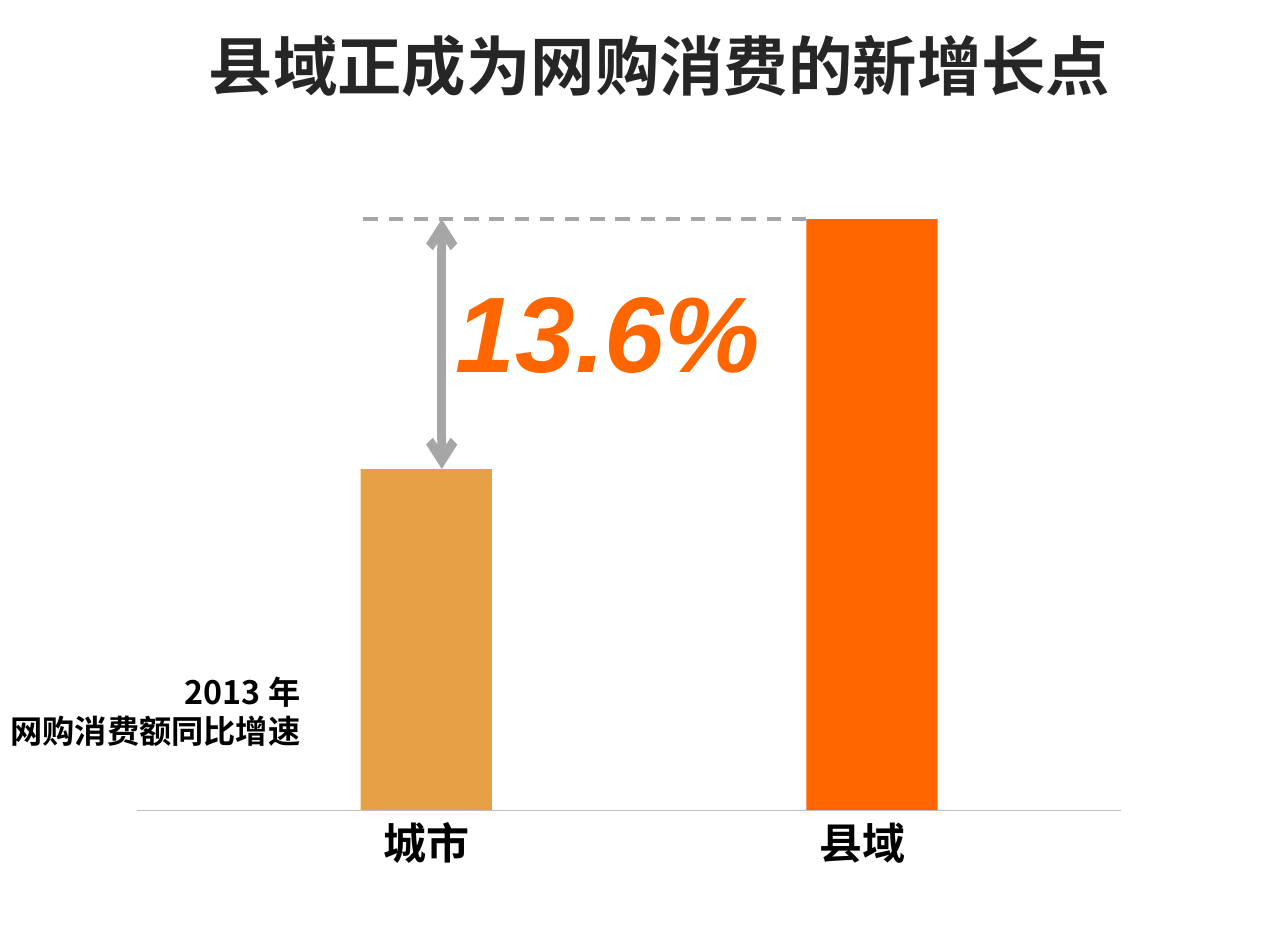
from collections import namedtuple
from dataclasses import dataclass

from pptx import Presentation, util as u
from pptx.dml.color import RGBColor
from pptx.enum import dml, shapes, text
from pptx.oxml.ns import qn
from lxml import etree

# Grid: 100 columns by 72.8 rows, each cell 0.1 inch
COLS, ROWS, CELL = 100, 72.8, 0.1
Box = namedtuple("Box", "x y w h")


@dataclass(frozen=True)
class Theme:
    ink: str = "262626"
    black: str = "000000"
    city: str = "E6A046"
    county: str = "FF6600"
    mark: str = "A6A6A6"
    axis: str = "BFBFBF"
    han: str = "Noto Sans CJK SC"
    latin: str = "Arial"
    title: int = 36
    big: int = 60
    label: int = 24
    note: int = 18


T = Theme()
ALIGN = text.PP_ALIGN


def cells(n):
    return u.Inches(round(n * CELL, 3))


def rgb(code):
    return RGBColor.from_string(code)


def write(slide, box, words, size, color, font=T.han, align=ALIGN.RIGHT,
          italic=None, wrap=False):
    frame = slide.shapes.add_textbox(*map(cells, box)).text_frame
    frame.word_wrap = wrap
    if wrap:
        frame.vertical_anchor = text.MSO_ANCHOR.MIDDLE
    else:
        frame.auto_size = text.MSO_AUTO_SIZE.SHAPE_TO_FIT_TEXT
    frame.text = words
    for para in frame.paragraphs:
        para.alignment = align
        for run in para.runs:
            face = run.font
            face.name, face.size = font, u.Pt(size)
            face.bold, face.italic = True, italic
            face.color.rgb = rgb(color)
            # East Asian typeface
            etree.SubElement(run._r.get_or_add_rPr(), qn("a:ea"), typeface=font)


def rule(slide, start, end, color, width, dash=None, heads=False):
    line = slide.shapes.add_connector(
        shapes.MSO_CONNECTOR.STRAIGHT, *map(cells, (*start, *end)))
    line.line.color.rgb = rgb(color)
    line.line.width = u.Pt(width)
    if dash:
        line.line.dash_style = dash
    if heads:
        for tag in ("a:headEnd", "a:tailEnd"):
            etree.SubElement(line.line._ln, qn(tag), type="arrow")
    etree.SubElement(line._element.spPr, qn("a:effectLst"))


def bar(slide, box, color):
    rect = slide.shapes.add_shape(
        shapes.MSO_SHAPE.RECTANGLE, *map(cells, box))
    rect.shadow.inherit = False
    rect.fill.solid()
    rect.fill.fore_color.rgb = rgb(color)
    rect.line.fill.background()


def header(slide, box):
    write(slide, box, "县域正成为网购消费的新增长点", T.title, T.ink,
          align=ALIGN.CENTER, wrap=True)


def growth(slide, box):
    base, wide = box.y + box.h, 10.2
    left, right = box.x + 17.4, box.x + 52
    low = base - 26.5

    # Bars
    bar(slide, Box(left, low, wide, base - low), T.city)
    bar(slide, Box(right, box.y, wide, box.h), T.county)

    # Gap between the two bars
    mid = left + 6.3
    rule(slide, (right, box.y), (left, box.y), T.mark, 2,
         dash=dml.MSO_LINE.DASH)
    rule(slide, (mid, box.y), (mid, low), T.mark, 5, heads=True)
    write(slide, Box(mid + 0.1, box.y + 3.1, 25.9, 11.1), "13.6%", T.big,
          T.county, font=T.latin, align=ALIGN.LEFT, italic=True)

    # Axis and bar names
    rule(slide, (box.x, base), (box.x + box.w, base), T.axis, 1)
    for x, name in ((left + 0.6, "城市"), (right - 0.1, "县域")):
        write(slide, Box(x, base, 8.8, 5), name, T.label, T.black)


def note(slide, box):
    write(slide, box, "2013 年\n网购消费额同比增速", T.note, T.black)


def main():
    deck = Presentation()
    deck.slide_width, deck.slide_height = cells(COLS), cells(ROWS)
    slide = deck.slides.add_slide(deck.slide_layouts[6])
    header(slide, Box(6.7, 1.2, 89, 7.6))
    growth(slide, Box(10.6, 17, 76.4, 45.9))
    note(slide, Box(-0.4, 51.7, 24.7, 7.1))
    deck.save("out.pptx")


if __name__ == "__main__":
    main()
